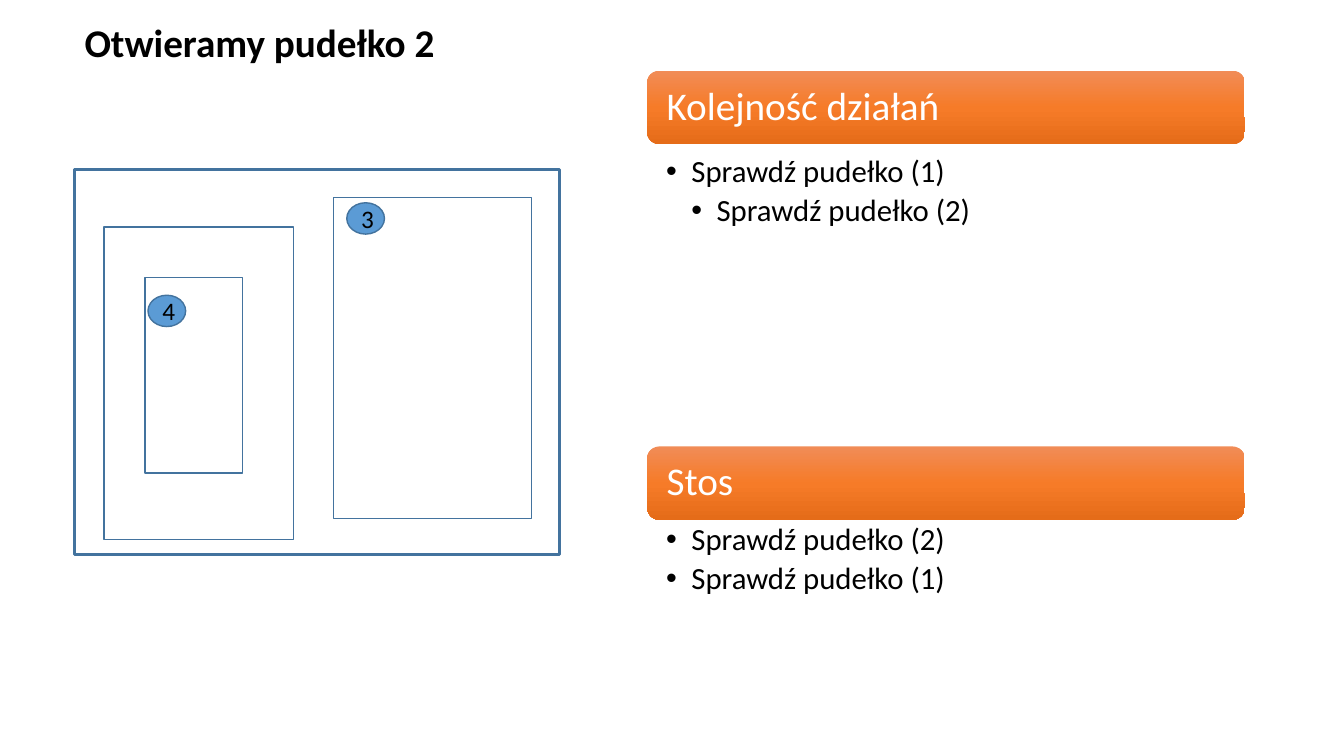
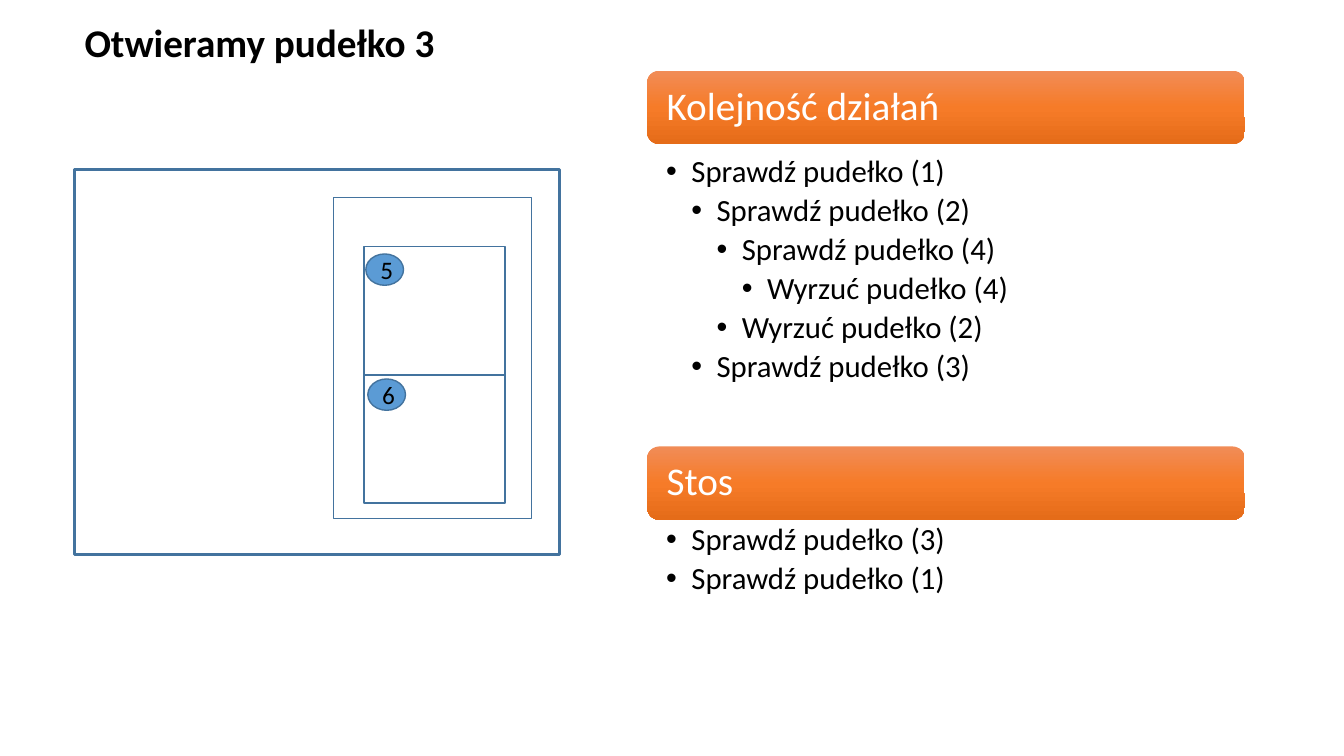
"""Two slides on opening nested boxes, with the order of steps and the stack."""
from copy import deepcopy
from dataclasses import dataclass

from lxml import etree
from pptx import Presentation
from pptx.dml.color import RGBColor
from pptx.enum import shapes, text
from pptx.oxml.ns import qn
from pptx.util import Cm, Pt

BANDS = ("Kolejność działań", "Stos")
OUTER = (1.88, 4.27, 12.22, 9.7)
LEFT = (2.62, 5.72, 4.78, 7.87)
RIGHT = (8.41, 4.98, 4.98, 8.08)
INNER = (3.66, 6.99, 2.46, 4.93)
UPPER = (9.17, 6.22, 3.56, 3.23)
LOWER = (9.17, 9.45, 3.56, 3.23)

SLIDES = [
    {
        "title": "Otwieramy pudełko 2",
        "boxes": [INNER, RIGHT, LEFT, OUTER],
        "tags": [("3", 8.74, 5.11), ("4", 3.73, 7.44)],
        "lists": [
            [(1, "Sprawdź pudełko (1)"), (2, "Sprawdź pudełko (2)")],
            [(1, "Sprawdź pudełko (2)"), (1, "Sprawdź pudełko (1)")],
        ],
    },
    {
        "title": "Otwieramy pudełko 3",
        "boxes": [RIGHT, OUTER, UPPER, LOWER],
        "tags": [("5", 9.22, 6.4), ("6", 9.27, 9.55)],
        "lists": [
            [
                (1, "Sprawdź pudełko (1)"),
                (2, "Sprawdź pudełko (2)"),
                (3, "Sprawdź pudełko (4)"),
                (4, "Wyrzuć pudełko (4)"),
                (3, "Wyrzuć pudełko (2)"),
                (2, "Sprawdź pudełko (3)"),
            ],
            [(1, "Sprawdź pudełko (3)"), (1, "Sprawdź pudełko (1)")],
        ],
    },
]


@dataclass(frozen=True)
class Theme:
    font: str = "Calibri"
    ink: str = "000000"
    pale: str = "FFFFFF"
    edge: str = "43739E"
    tag: str = "5B9BD5"
    band: tuple = ("F18C57", "F67B28", "E56C19")
    head: int = 28
    body: int = 22
    mark: int = 18
    step: float = 0.635


T = Theme()
TITLE = (1.88, 0.33, 31.98, 1.45)
COL, WIDE, BAR = 16.31, 15.06, 1.85
TOPS = (1.78, 11.25)
AREAS = ((3.84, 7.42), (13.11, 3.15))
TAG = (0.95, 0.79)


def rgb(code):
    return RGBColor.from_string(code)


def place(item, spot):
    item.left, item.top, item.width, item.height = map(Cm, spot)


def write(item, lines, size, color=T.ink, bold=False, align=text.PP_ALIGN.LEFT,
          anchor=text.MSO_ANCHOR.TOP, pad=(0.25, 0.13, 0.25, 0.13),
          space=1.0, after=0, wrap=True):
    frame = item.text_frame
    frame.word_wrap = wrap
    frame.auto_size = text.MSO_AUTO_SIZE.NONE
    frame.vertical_anchor = anchor
    (frame.margin_left, frame.margin_top,
     frame.margin_right, frame.margin_bottom) = map(Cm, pad)
    for n, (level, words) in enumerate(lines):
        para = frame.add_paragraph() if n else frame.paragraphs[0]
        para.alignment, para.line_spacing = align, space
        para.space_before, para.space_after = Pt(0), Pt(after)
        run = para.add_run()
        run.text = words
        font = run.font
        font.name, font.size, font.bold = T.font, Pt(size), bold
        font.color.rgb = rgb(color)
        if level:
            para.level = level - 1
            dot(para, level)


def dot(para, level):
    props = para._p.get_or_add_pPr()
    props.set("marL", str(Cm(T.step * level)))
    props.set("indent", str(-Cm(T.step)))
    etree.SubElement(props, qn("a:buFont")).set("typeface", "Arial")
    etree.SubElement(props, qn("a:buChar")).set("char", "•")


def draw(slide, kind, spot, fill=None, line=None, width=1):
    item = slide.shapes.add_shape(kind, *map(Cm, spot))
    item.shadow.inherit = False
    if fill:
        item.fill.solid()
        item.fill.fore_color.rgb = rgb(fill)
    else:
        item.fill.background()
    if line:
        item.line.color.rgb = rgb(line)
        item.line.width = Pt(width)
    else:
        item.line.fill.background()
    return item


def shade(item, colors):
    item.fill.gradient()
    item.fill.gradient_angle = 270
    stops = item._element.spPr.find(".//" + qn("a:gsLst"))
    stops.insert(1, deepcopy(stops[0]))
    for n, (stop, code) in enumerate(zip(item.fill.gradient_stops, colors)):
        stop.color.rgb = rgb(code)
        stop.position = n / (len(colors) - 1)


def build(deck, data):
    slide = deck.slides.add_slide(deck.slide_layouts[3])
    title, *bodies = slide.placeholders
    place(title, TITLE)
    write(title, [(0, data["title"])], T.head, bold=True)

    for name, top, body, area, lines in zip(BANDS, TOPS, bodies, AREAS, data["lists"]):
        bar = draw(slide, shapes.MSO_SHAPE.ROUNDED_RECTANGLE, (COL, top, WIDE, BAR))
        shade(bar, T.band)
        write(bar, [(0, name)], T.head, color=T.pale, space=0.9,
              anchor=text.MSO_ANCHOR.MIDDLE, pad=(0.4, 0.3, 0.4, 0.3))
        place(body, (COL, area[0], WIDE, area[1]))
        write(body, lines, T.body, pad=(0.48, 0.1, 0.56, 0.1), space=0.9, after=4)

    for box in data["boxes"]:
        draw(slide, shapes.MSO_SHAPE.RECTANGLE, box, line=T.edge,
             width=2 if box == OUTER else 1)
    for num, left, top in data["tags"]:
        tag = draw(slide, shapes.MSO_SHAPE.OVAL, (left, top, *TAG), T.tag, T.edge)
        write(tag, [(0, num)], T.mark, align=text.PP_ALIGN.CENTER, wrap=False,
              anchor=text.MSO_ANCHOR.MIDDLE, pad=(0.1, 0, 0, 0))


deck = Presentation()
deck.slide_width, deck.slide_height = Cm(33.87), Cm(19.05)
for data in SLIDES:
    build(deck, data)
deck.save("out.pptx")
